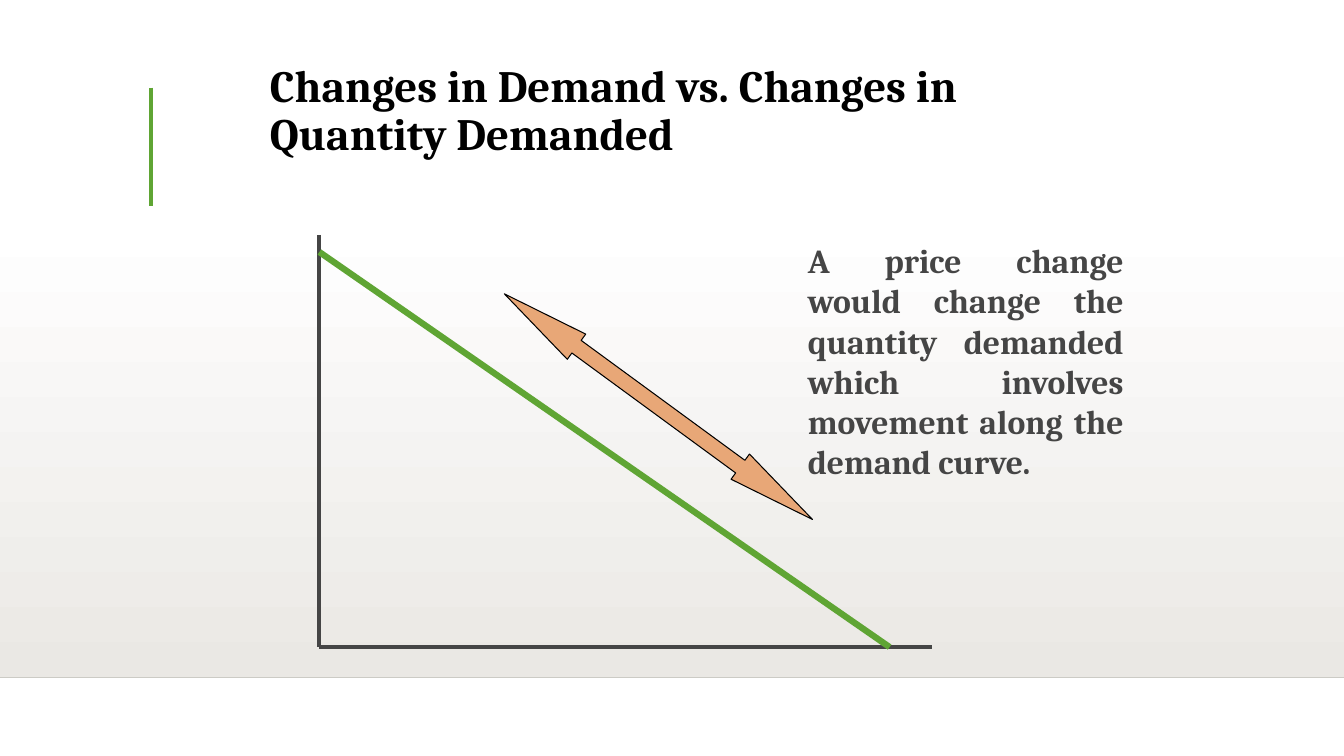
"""Build a slide on movement along a demand curve."""
from lxml.etree import SubElement
from pptx import Presentation
from pptx.dml.color import RGBColor
from pptx.enum.shapes import MSO_CONNECTOR as CONN, MSO_SHAPE as SHAPE
from pptx.enum.text import MSO_ANCHOR as ANCHOR, MSO_AUTO_SIZE as AUTO, PP_ALIGN as ALIGN
from pptx.oxml.ns import qn
from pptx.util import Inches, Pt

GREEN, GREY, BLACK = "5FA534", "454545", "000000"


def rgb(value):
    return RGBColor.from_string(value)


def add_line(s, x1, y1, x2, y2, color, width):
    line = s.shapes.add_connector(CONN.STRAIGHT, Inches(x1), Inches(y1), Inches(x2), Inches(y2))
    line.line.color.rgb = rgb(color)
    line.line.width = Pt(width)
    SubElement(line._element.spPr, qn("a:effectLst"))


def add_backdrop(s):
    sp = s.shapes.add_shape(SHAPE.RECTANGLE, 0, Inches(2.2), Inches(13.34), Inches(4.52))
    sp.shadow.inherit = False
    sp.line.fill.background()
    sp.fill.gradient()
    sp.fill.gradient_angle = 270
    for stop, color in zip(sp.fill.gradient_stops, ("FFFFFF", "EAE8E4")):
        stop.color.rgb = rgb(color)


def add_double_arrow(s):
    sp = s.shapes.add_shape(SHAPE.LEFT_RIGHT_ARROW, Inches(4.64), Inches(3.88), Inches(3.79), Inches(0.31))
    sp.adjustments[0] = 0.5
    sp.adjustments[1] = 2.866
    sp.rotation = 36.2
    sp.shadow.inherit = False
    sp.fill.solid()
    sp.fill.fore_color.rgb = rgb("E8A777")
    sp.line.color.rgb = rgb(BLACK)
    sp.line.width = Pt(0.75)


def write_text(sp, text, size, color, align):
    tf = sp.text_frame
    tf.word_wrap = True
    tf.auto_size = AUTO.NONE
    p = tf.paragraphs[0]
    p.alignment = align
    r = p.add_run()
    r.text = text
    r.font.name = "Cambria"
    r.font.size = Pt(size)
    r.font.bold = True
    r.font.color.rgb = rgb(color)
    return p


def set_title(s, text):
    title = s.shapes.title
    title.left, title.top, title.width, title.height = map(Inches, (2.58, 0.49, 7.77, 1.15))
    title.text_frame.vertical_anchor = ANCHOR.BOTTOM
    write_text(title, text, 32, BLACK, ALIGN.LEFT).line_spacing = 0.9


def add_note(s, text):
    box = s.shapes.add_textbox(Inches(7.92), Inches(2.33), Inches(3.33), Inches(2.5))
    write_text(box, text, 24, GREY, ALIGN.JUSTIFY)


def add_demand_graph(s):
    left, base = 3.17, 6.42
    add_line(s, left, 2.33, left, base, GREY, 3)
    add_line(s, left, base, 9.25, base, GREY, 3)
    add_line(s, left, 2.5, 8.83, base, GREEN, 4.5)
    add_double_arrow(s)


def main():
    prs = Presentation()
    prs.slide_width, prs.slide_height = Inches(13.34), Inches(7.5)
    s = prs.slides.add_slide(prs.slide_layouts[5])
    add_backdrop(s)
    add_line(s, 0, 6.72, 13.34, 6.72, "CCCBC5", 1)
    add_line(s, 1.5, 0.87, 1.5, 2.04, GREEN, 3)
    set_title(s, "Changes in Demand vs. Changes in Quantity Demanded")
    add_demand_graph(s)
    add_note(s, "A price change would change the quantity demanded which involves "
                "movement along the demand curve.")
    prs.save("out.pptx")


if __name__ == "__main__":
    main()
